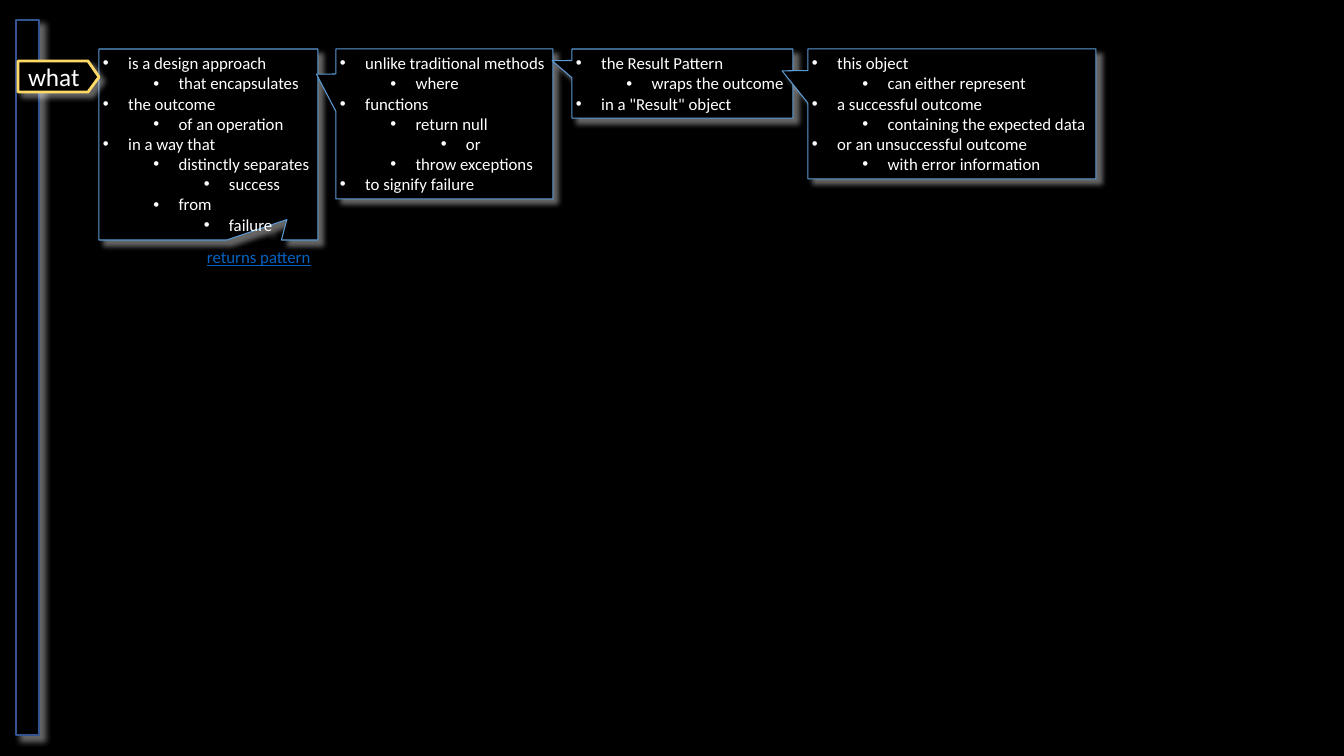
import pptx
import pptx.util
import pptx.dml.color
import pptx.enum.shapes
import pptx.enum.text
import pptx.oxml.ns
import lxml.etree

# Content: each callout has left, width, height, pointer and (level, text) lines
TOP = 49
NOTES = [
    (99, 219, 191, (0.358, 0.393), [
        (0, "is a design approach"),
        (1, "that encapsulates"),
        (0, "the outcome"),
        (1, "of an operation"),
        (0, "in a way that"),
        (1, "distinctly separates"),
        (2, "success"),
        (1, "from"),
        (2, "failure"),
    ]),
    (336, 217, 150, (-0.59, -0.332), [
        (0, "unlike traditional methods"),
        (1, "where"),
        (0, "functions"),
        (1, "return null"),
        (2, "or"),
        (1, "throw exceptions"),
        (0, "to signify failure"),
    ]),
    (572, 221, 69, (-0.59, -0.332), [
        (0, "the Result Pattern"),
        (1, "wraps the outcome"),
        (0, 'in a "Result" object'),
    ]),
    (808, 288, 130, (-0.59, -0.332), [
        (0, "this object"),
        (1, "can either represent"),
        (0, "a successful outcome"),
        (1, "containing the expected data"),
        (0, "or an unsuccessful outcome"),
        (1, "with error information"),
    ]),
]
BAR = (16, 20, 23, 715)
TAG = "what"
EDGE = [(18, 61), (88, 61), (99, 77), (88, 92), (18, 92)]
LINK = "returns pattern"
SPOT = (197, 242, 125, 30)

FONT = "Calibri"
BLACK, WHITE = "000000", "FFFFFF"
NAVY, BLUE, GOLD, INK = "325491", "5B9BD5", "FFD966", "0563C1"
KIND = pptx.enum.shapes.MSO_SHAPE
LEFT = pptx.enum.text.PP_ALIGN.LEFT
ANCHOR = pptx.enum.text.MSO_ANCHOR
FIT = pptx.enum.text.MSO_AUTO_SIZE


def px(n):
    return round(n * 914400 / 100.8)


def tint(code):
    return pptx.dml.color.RGBColor.from_string(code)


def node(owner, tag, **attrs):
    item = lxml.etree.SubElement(owner, pptx.oxml.ns.qn("a:" + tag))
    for key, val in attrs.items():
        item.set(key, str(val))
    return item


def style(shape, line, width):
    """Black fill, coloured outline and a soft white shadow."""
    shape.fill.solid()
    shape.fill.fore_color.rgb = tint(BLACK)
    shape.line.color.rgb = tint(line)
    shape.line.width = pptx.util.Pt(width)
    shape.shadow.inherit = False
    glow = shape._element.spPr.find(pptx.oxml.ns.qn("a:effectLst"))
    cast = node(glow, "outerShdw", blurRad=50800, dist=63500, dir=2700000,
                algn="tl", rotWithShape=0)
    node(node(cast, "srgbClr", val=WHITE), "alpha", val=40000)


def frame(shape, sides, anchor, fit=FIT.SHAPE_TO_FIT_TEXT):
    """Unwrapped text frame with left, top, right and bottom insets in px."""
    text = shape.text_frame
    text.word_wrap = False
    text.auto_size = fit
    text.vertical_anchor = anchor
    (text.margin_left, text.margin_top,
     text.margin_right, text.margin_bottom) = map(px, sides)
    return text


def write(para, words, size, color):
    para.text = words
    para.alignment = LEFT
    para.font.name = FONT
    para.font.size = pptx.util.Pt(size)
    para.font.color.rgb = tint(color)


def bullet(para, level):
    para.level = level
    props = para._p.get_or_add_pPr()
    inch = 914400
    props.set("marL", str(inch // 4 + level * inch // 2))
    props.set("indent", str(-inch // 4))
    node(props, "buFont", typeface="Arial")
    node(props, "buChar", char="•")


def main():
    deck = pptx.Presentation()
    deck.slide_width, deck.slide_height = px(1344), px(756)
    slide = deck.slides.add_slide(deck.slide_layouts[6])
    slide.background.fill.solid()
    slide.background.fill.fore_color.rgb = tint(BLACK)
    shapes = slide.shapes

    # Side bar
    bar = shapes.add_shape(KIND.RECTANGLE, *map(px, BAR))
    style(bar, NAVY, 2)

    # Callouts
    for left, width, height, point, lines in NOTES:
        note = shapes.add_shape(KIND.RECTANGULAR_CALLOUT,
                                *map(px, (left, TOP, width, height)))
        note.adjustments[0], note.adjustments[1] = point
        style(note, BLUE, 0.75)
        text = frame(note, (4, 4, 4, 4), ANCHOR.TOP)
        for i, (level, words) in enumerate(lines):
            para = text.add_paragraph() if i else text.paragraphs[0]
            bullet(para, level)
            write(para, words, 12, WHITE)

    # Tag pointing at the first callout; the label keeps to one line
    path = shapes.build_freeform(*EDGE[0], scale=px(1))
    path.add_line_segments(EDGE[1:], close=True)
    tag = path.convert_to_shape()
    style(tag, GOLD, 2)
    text = frame(tag, (10, 0, 0, 0), ANCHOR.MIDDLE, FIT.NONE)
    text.word_wrap = True
    write(text.paragraphs[0], TAG, 18, WHITE)

    # Link label
    label = shapes.add_textbox(*map(px, SPOT))
    para = frame(label, (10, 5, 10, 5), ANCHOR.TOP).paragraphs[0]
    write(para, LINK, 12, INK)
    para.font.underline = True

    deck.save("out.pptx")


if __name__ == "__main__":
    main()
